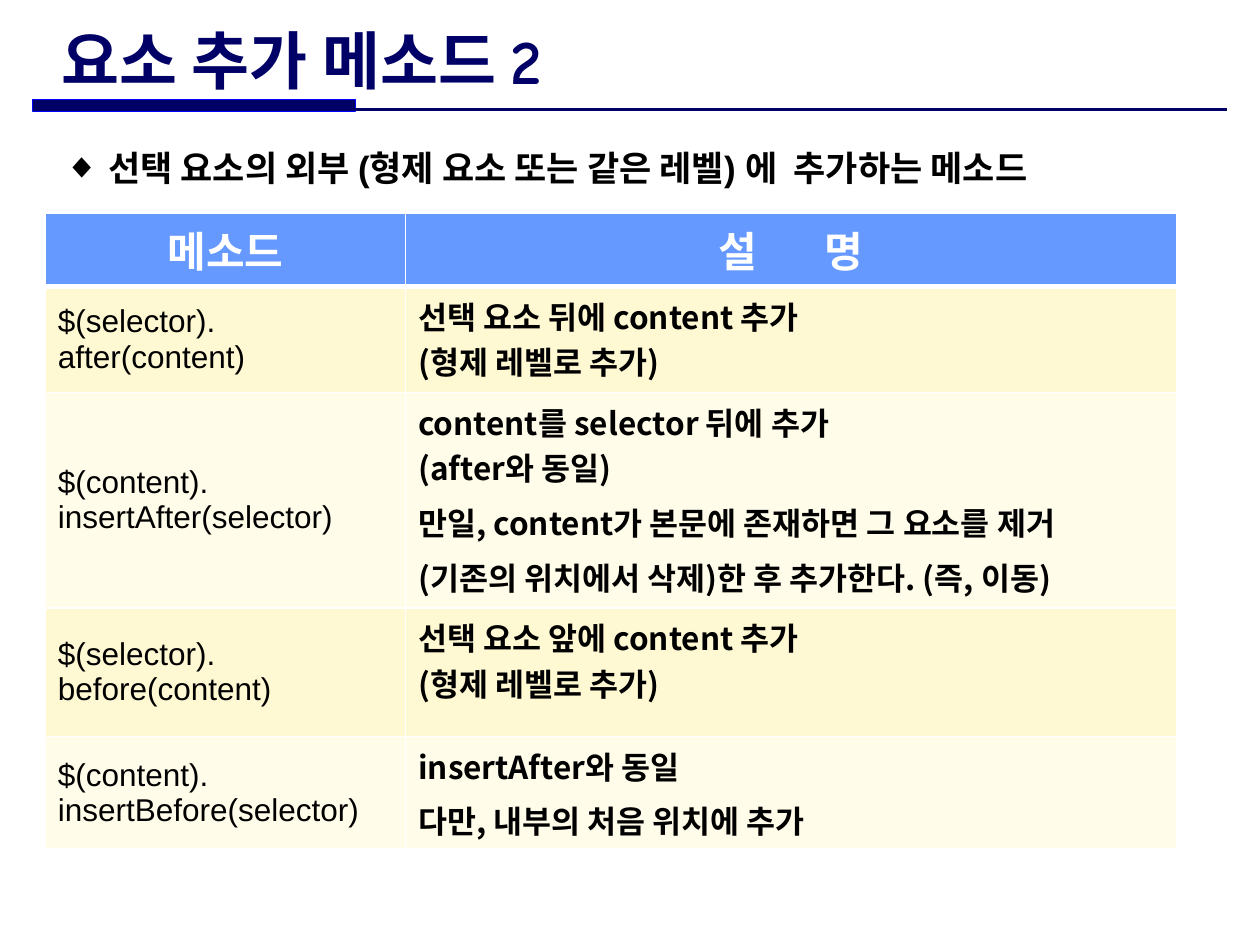
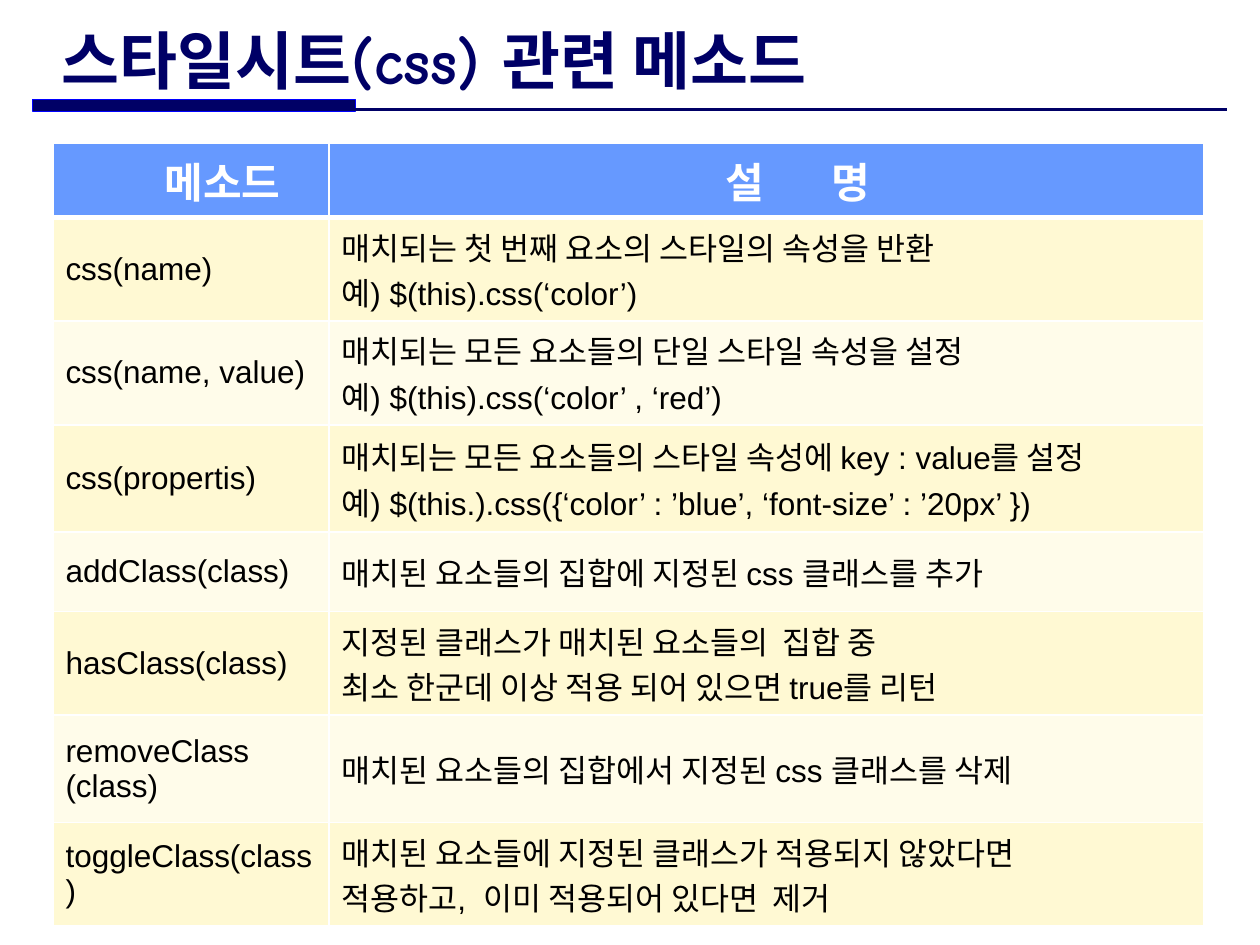
"""Build two slides of method tables: adding elements and css handling."""
from dataclasses import dataclass

from lxml import etree
from pptx import Presentation, util as u
from pptx.dml.color import RGBColor
from pptx.enum import shapes, text
from pptx.oxml.ns import qn


@dataclass(frozen=True)
class Theme:
    navy: str = "000066"
    band_edge: str = "0000FF"
    header: str = "6699FF"
    rows: tuple = ("FFF9D3", "FFFCEA")
    white: str = "FFFFFF"
    black: str = "000000"
    title_font: str = "Comic Neue"
    latin: str = "Arial"
    korean: str = "Noto Sans CJK KR"
    title_size: int = 36
    header_size: int = 24
    lead_size: int = 20
    cell_size: int = 18
    header_gap: float = 16.5
    loose: float = 1.2


THEME = Theme()
SLIDE_WIDTH, SLIDE_HEIGHT = 10, 7.5
MARGIN = 0.26
BAND_TOP, BAND_WIDTH, BAND_HEIGHT, RULE_TOP = 0.79, 2.56, 0.09, 0.87
TITLE_LEFT, TITLE_TOP, TITLE_HEIGHT = 0.39, 0.21, 0.52
LAYOUT_TITLE_AND_LIST, LAYOUT_TITLE_ONLY = 1, 5
HEADERS = (("메소드",), ("설", "명"))

# Each row: height, method lines, description lines, loosely spaced description lines.
PAGES = [
    dict(
        title="요소 추가 메소드 2", title_width=8.47,
        lead="선택 요소의 외부 (형제 요소 또는 같은 레벨) 에  추가하는 메소드",
        lead_area=(0.41, 1.11, 8.93, 0.44),
        corner=(0.36, 1.69), columns=(2.86, 6.12), header_height=0.49,
        header_indent=0, anchor=text.MSO_ANCHOR.TOP,
        align=text.PP_ALIGN.JUSTIFY, font=THEME.korean, bold=True,
        rows=[
            (0.84, ["$(selector).", "after(content)"],
             ["선택 요소 뒤에 content 추가", "(형제 레벨로 추가)"], []),
            (1.71, ["$(content).", "insertAfter(selector)"],
             ["content를 selector 뒤에 추가", "(after와 동일)"],
             ["만일, content가 본문에 존재하면 그 요소를 제거",
              "(기존의 위치에서 삭제)한 후 추가한다. (즉, 이동)"]),
            (1.02, ["$(selector).", "before(content)"],
             ["선택 요소 앞에 content 추가", "(형제 레벨로 추가)"], []),
            (0.84, ["$(content).", "insertBefore(selector)"],
             ["insertAfter와 동일"], ["다만, 내부의 처음 위치에 추가"]),
        ],
    ),
    dict(
        title="스타일시트(css) 관련 메소드", title_width=6.79, lead=None,
        corner=(0.42, 1.14), columns=(2.19, 6.94), header_height=0.56,
        header_indent=0.5, anchor=text.MSO_ANCHOR.MIDDLE,
        align=text.PP_ALIGN.LEFT, font=THEME.latin, bold=False,
        rows=[
            (0.73, ["css(name)"],
             ["매치되는 첫 번째 요소의 스타일의 속성을 반환",
              "예) $(this).css(‘color’)"], []),
            (0.76, ["css(name, value)"],
             ["매치되는 모든 요소들의 단일 스타일 속성을 설정",
              "예) $(this).css(‘color’ , ‘red’)"], []),
            (0.85, ["css(propertis)"],
             ["매치되는 모든 요소들의 스타일 속성에 key : value를 설정",
              "예) $(this.).css({‘color’ : ’blue’, ‘font-size’ : ’20px’ })"], []),
            (0.63, ["addClass(class)"],
             ["매치된 요소들의 집합에 지정된 css 클래스를 추가"], []),
            (0.74, ["hasClass(class)"],
             ["지정된 클래스가 매치된 요소들의  집합 중",
              "최소 한군데 이상 적용 되어 있으면 true를 리턴"], []),
            (0.85, ["removeClass", "(class)"],
             ["매치된 요소들의 집합에서 지정된 css 클래스를 삭제"], []),
            (0.76, ["toggleClass(class)"],
             ["매치된 요소들에 지정된 클래스가 적용되지 않았다면",
              "적용하고,  이미 적용되어 있다면  제거"], []),
        ],
    ),
]


def colour(code):
    """Turn a hex code into a colour."""
    return RGBColor.from_string(code)


def add_span(para, words, size, code, font=THEME.latin, bold=False, spacing=0):
    """Append one formatted run, with optional letter spacing in points."""
    span = para.add_run()
    span.text = words
    span.font.size, span.font.bold, span.font.name = u.Pt(size), bold, font
    span.font.color.rgb = colour(code)
    properties = span.font._element
    etree.SubElement(properties, qn("a:ea")).set("typeface", THEME.korean)
    if spacing:
        properties.set("spc", str(round(spacing * 100)))


def place(box, left, top, width, height):
    """Move and size a shape in inches."""
    box.left, box.top = u.Inches(left), u.Inches(top)
    box.width, box.height = u.Inches(width), u.Inches(height)


def add_master_band(deck, page):
    """Draw the title band and rule, then hand them to the slide master."""
    band = page.shapes.add_shape(shapes.MSO_SHAPE.RECTANGLE, 0, 0, 0, 0)
    place(band, MARGIN, BAND_TOP, BAND_WIDTH, BAND_HEIGHT)
    band.shadow.inherit = False
    band.fill.solid()
    band.fill.fore_color.rgb = colour(THEME.navy)
    band.line.color.rgb, band.line.width = colour(THEME.band_edge), u.Pt(0.75)
    rule = page.shapes.add_connector(
        shapes.MSO_CONNECTOR.STRAIGHT, u.Inches(MARGIN), u.Inches(RULE_TOP),
        u.Inches(SLIDE_WIDTH - MARGIN), u.Inches(RULE_TOP))
    rule.line.color.rgb, rule.line.width = colour(THEME.navy), u.Pt(1.5)
    etree.SubElement(rule.element.spPr, qn("a:effectLst"))
    tree = deck.slide_master.element.cSld.spTree
    for number, part in enumerate((band, rule), 101):
        part.element.xpath(".//p:cNvPr")[0].set("id", str(number))
        tree.append(part.element)


def add_title(page, words, width):
    """Fill the title placeholder."""
    box = page.shapes.title
    place(box, TITLE_LEFT, TITLE_TOP, width, TITLE_HEIGHT)
    frame = box.text_frame
    frame.auto_size = text.MSO_AUTO_SIZE.NONE
    frame.vertical_anchor = text.MSO_ANCHOR.MIDDLE
    para = frame.paragraphs[0]
    para.alignment = text.PP_ALIGN.LEFT
    add_span(para, words, THEME.title_size, THEME.navy, THEME.title_font, True)


def add_lead(page, words, area):
    """Fill the body placeholder with one diamond bullet."""
    box = page.placeholders[1]
    place(box, *area)
    box.text_frame.auto_size = text.MSO_AUTO_SIZE.NONE
    para = box.text_frame.paragraphs[0]
    para.space_before = u.Pt(0)
    add_span(para, words, THEME.lead_size, THEME.black, bold=True)
    properties = para._p.get_or_add_pPr()
    indent = u.Inches(0.35)
    properties.set("marL", str(indent))
    properties.set("indent", str(-indent))
    etree.SubElement(properties, qn("a:buChar")).set("char", "◆")


def style_cell(cell, fill, anchor, bottom=1):
    """Give a cell white borders, a fill and an anchor."""
    properties = cell._tc.get_or_add_tcPr()
    for side, width in (("L", 1), ("R", 1), ("T", 1), ("B", bottom)):
        line = etree.SubElement(properties, qn(f"a:ln{side}"), w=str(u.Pt(width)))
        paint = etree.SubElement(line, qn("a:solidFill"))
        etree.SubElement(paint, qn("a:srgbClr")).set("val", THEME.white)
    cell.fill.solid()
    cell.fill.fore_color.rgb = colour(fill)
    cell.vertical_anchor = anchor


def write_lines(cell, lines, align, font=THEME.latin, bold=False):
    """Write (words, line spacing) pairs as the paragraphs of a cell."""
    frame = cell.text_frame
    for index, (words, spacing) in enumerate(lines):
        para = frame.add_paragraph() if index else frame.paragraphs[0]
        para.alignment = align
        if spacing != 1:
            para.line_spacing = spacing
        add_span(para, words, THEME.cell_size, THEME.black, font, bold)


def write_header(cell, syllables, indent):
    """Write a centred heading, its parts set apart by letter spacing."""
    para = cell.text_frame.paragraphs[0]
    para.alignment = text.PP_ALIGN.CENTER
    if indent:
        para._p.get_or_add_pPr().set("marL", str(u.Inches(indent)))
    style = (THEME.header_size, THEME.white, THEME.latin, True)
    for part in syllables[:-1]:
        add_span(para, part + " ", *style, THEME.header_gap)
    add_span(para, syllables[-1], *style)


def add_method_table(page, content):
    """Add the table of methods and descriptions."""
    columns, rows = content["columns"], content["rows"]
    heights = [content["header_height"], *(row[0] for row in rows)]
    area = (*content["corner"], sum(columns), sum(heights))
    table = page.shapes.add_table(
        len(heights), len(columns), *map(u.Inches, area)).table
    table.horz_banding = False
    for column, width in zip(table.columns, columns):
        column.width = u.Inches(width)
    for row, height in zip(table.rows, heights):
        row.height = u.Inches(height)
    for index, syllables in enumerate(HEADERS):
        cell = table.cell(0, index)
        style_cell(cell, THEME.header, content["anchor"], bottom=3)
        write_header(cell, syllables, content["header_indent"])
    for index, (_, methods, tight, loose) in enumerate(rows):
        fill = THEME.rows[index % len(THEME.rows)]
        method, description = (table.cell(index + 1, side) for side in (0, 1))
        style_cell(method, fill, text.MSO_ANCHOR.MIDDLE)
        write_lines(method, [(words, 1) for words in methods], text.PP_ALIGN.LEFT)
        style_cell(description, fill, content["anchor"])
        lines = [(words, 1) for words in tight]
        lines += [(words, THEME.loose) for words in loose]
        write_lines(description, lines, content["align"],
                    content["font"], content["bold"])


def main():
    """Build and save the deck."""
    deck = Presentation()
    deck.slide_width, deck.slide_height = u.Inches(SLIDE_WIDTH), u.Inches(SLIDE_HEIGHT)
    for index, content in enumerate(PAGES):
        layout = LAYOUT_TITLE_AND_LIST if content["lead"] else LAYOUT_TITLE_ONLY
        page = deck.slides.add_slide(deck.slide_layouts[layout])
        if index == 0:
            add_master_band(deck, page)
        add_title(page, content["title"], content["title_width"])
        if content["lead"]:
            add_lead(page, content["lead"], content["lead_area"])
        add_method_table(page, content)
    deck.save("out.pptx")


if __name__ == "__main__":
    main()
